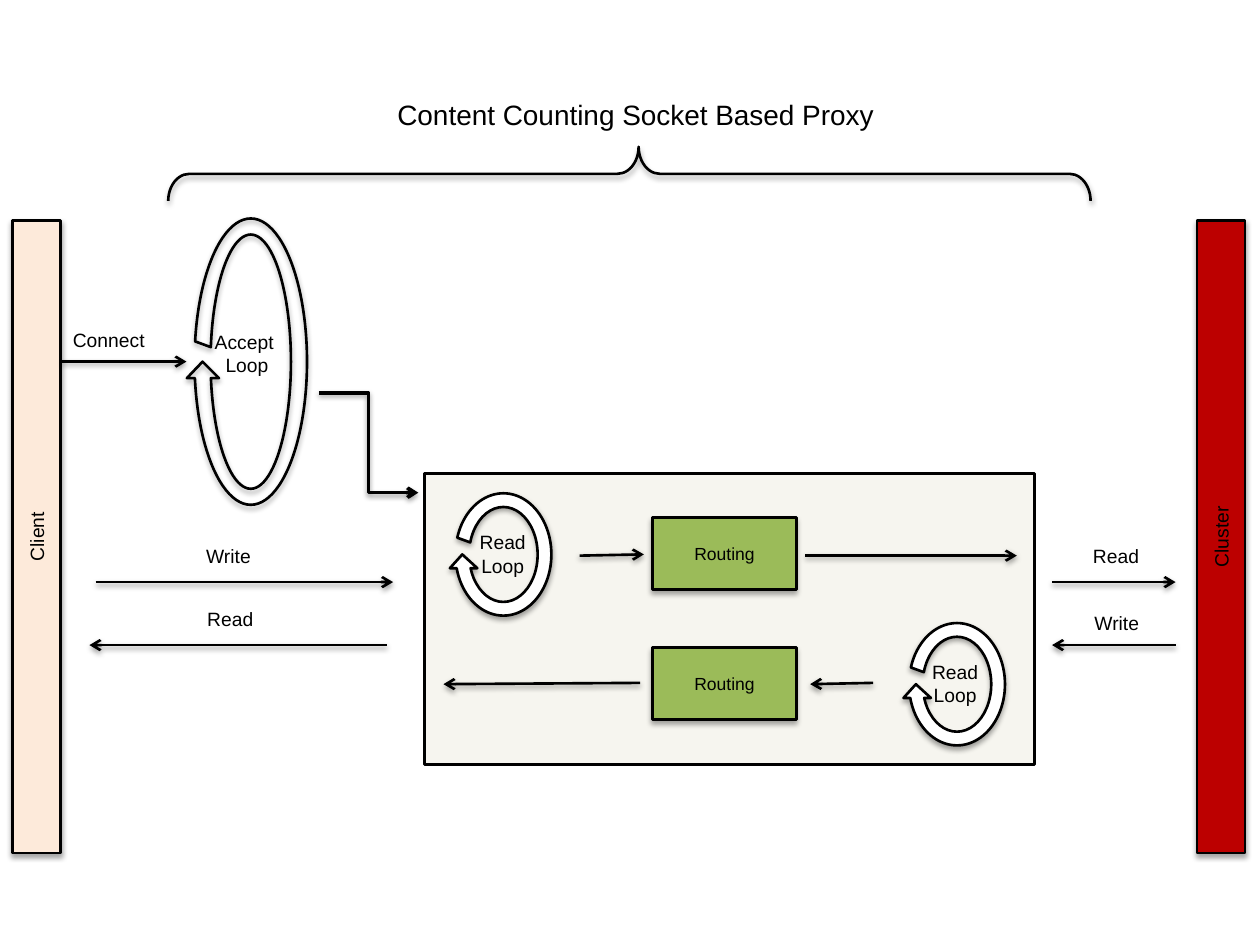
from dataclasses import dataclass
from lxml import etree
from pptx import Presentation
from pptx import util as u
from pptx.dml.color import RGBColor
from pptx.enum import shapes, text
from pptx.oxml import ns


@dataclass(frozen=True)
class Theme:
    font: str = "Arial"
    ink: str = "000000"
    client: str = "FDEADA"
    cluster: str = "BC0000"
    panel: str = "EEECE1"
    routing: str = "9BBB59"
    loop: str = "FFFFFF"
    title: int = 16
    label: int = 11
    small: int = 10
    line: float = 1.5
    elbow: float = 2


theme = Theme()
ink = RGBColor.from_string(theme.ink)
kind = shapes.MSO_SHAPE
align = text.PP_ALIGN


def write(box, words, size=theme.label, alignment=align.CENTER, anchor=text.MSO_ANCHOR.MIDDLE):
    frame = box.text_frame
    frame.text = words
    frame.word_wrap = True
    frame.auto_size = text.MSO_AUTO_SIZE.NONE
    frame.vertical_anchor = anchor
    for para in frame.paragraphs:
        para.alignment = alignment
        for span in para.runs:
            span.font.name = theme.font
            span.font.size = u.Pt(size)
            span.font.color.rgb = ink


def outline(item, width=theme.line, shadow=True, opacity=35, distance=1.8):
    item.line.color.rgb = ink
    item.line.width = u.Pt(width)
    effects = etree.SubElement(item._element.spPr, ns.qn("a:effectLst"))
    if shadow:
        outer = etree.SubElement(effects, ns.qn("a:outerShdw"), blurRad=str(u.Pt(3.1)),
                                 dist=str(u.Pt(distance)), dir="5400000", rotWithShape="0")
        tint = etree.SubElement(outer, ns.qn("a:srgbClr"), val=theme.ink)
        etree.SubElement(tint, ns.qn("a:alpha"), val=str(opacity * 1000))


deck = Presentation()
deck.slide_width, deck.slide_height = u.Inches(10), u.Inches(7.5)
cell = deck.slide_width / 100
page = deck.slides.add_slide(deck.slide_layouts[5])

title = page.shapes.title
title.left, title.top, title.width, title.height = [round(n * cell) for n in (26.6, 7.2, 47.7, 3.7)]
write(title, "Content Counting Socket Based Proxy", size=theme.title, anchor=text.MSO_ANCHOR.TOP)

loop_turns = (0.125, 11.42, 204.58, 11.99, 0.125)
brace_curve = (0.39, 0.49)
for preset, bounds, turn, fill, adjust, words, size in (
    (kind.RECTANGLE, (-22.2, 40.7, 50.2, 3.8), 270, theme.client, (), "Client", theme.label),
    (kind.RECTANGLE, (71.8, 40.7, 50.2, 3.8), 270, theme.cluster, (), "Cluster", theme.label),
    (kind.RECTANGLE, (33.7, 37.6, 48.4, 23.1), 0, theme.panel, (), "", theme.label),
    (kind.LEFT_BRACE, (47.8, -22.8, 4.3, 73.2), 90, None, brace_curve, "", theme.label),
    (kind.CIRCULAR_ARROW, (14.8, 16.7, 10.2, 24), 180, None, loop_turns, "", theme.label),
    (kind.CIRCULAR_ARROW, (35.6, 38.6, 8.7, 10.8), 180, theme.loop, loop_turns, "", theme.label),
    (kind.CIRCULAR_ARROW, (71.6, 48.9, 8.7, 10.8), 180, theme.loop, loop_turns, "", theme.label),
    (kind.RECTANGLE, (51.8, 41.1, 11.4, 5.7), 0, theme.routing, (), "Routing", theme.small),
    (kind.RECTANGLE, (51.8, 51.4, 11.4, 5.7), 0, theme.routing, (), "Routing", theme.small),
):
    shape = page.shapes.add_shape(preset, *[round(n * cell) for n in bounds])
    shape.rotation = turn
    for index, value in enumerate(adjust):
        shape.adjustments[index] = value
    if fill:
        shape.fill.solid()
        shape.fill.fore_color.rgb = RGBColor.from_string(fill)
    else:
        shape.fill.background()
    outline(shape, shadow=fill != theme.panel)
    if fill == theme.panel:
        tint = shape._element.spPr.find(ns.qn("a:solidFill"))[0]
        etree.SubElement(tint, ns.qn("a:alpha"), val="50000")
    if words:
        write(shape, words, size=size)

straight, elbow = shapes.MSO_CONNECTOR.STRAIGHT, shapes.MSO_CONNECTOR.ELBOW
for style, ends, tip, width in (
    (straight, (4.9, 28.7, 14.8, 28.7), "tailEnd", theme.line),
    (elbow, (25.3, 31.2, 33.2, 39.1), "tailEnd", theme.elbow),
    (straight, (7.6, 46.2, 31.2, 46.2), "tailEnd", theme.line),
    (straight, (7.1, 51.2, 30.7, 51.2), "headEnd", theme.line),
    (straight, (83.5, 46.2, 93.3, 46.2), "tailEnd", theme.line),
    (straight, (83.5, 51.2, 93.3, 51.2), "headEnd", theme.line),
    (straight, (46, 44.1, 51.1, 44), "tailEnd", theme.line),
    (straight, (63.9, 44.1, 80.7, 44.1), "tailEnd", theme.line),
    (straight, (35.2, 54.3, 50.8, 54.2), "headEnd", theme.line),
    (straight, (64.3, 54.3, 69.3, 54.2), "headEnd", theme.line),
):
    arrow = page.shapes.add_connector(style, *[round(n * cell) for n in ends])
    outline(arrow, width=width, opacity=38, distance=1.6)
    etree.SubElement(arrow._element.spPr.find(ns.qn("a:ln")), ns.qn("a:" + tip), type="arrow")

for words, bounds, alignment in (
    ("Connect", (4.8, 25.3, 9.3, 3.4), align.LEFT),
    ("Accept \nLoop", (14.2, 25.7, 10.8, 4.7), align.CENTER),
    ("Read\nLoop", (34.5, 42.7, 10.8, 2.5), align.CENTER),
    ("Read\nLoop", (70.4, 53, 10.8, 2.5), align.CENTER),
    ("Write", (13.3, 42.4, 7.6, 3.4), align.RIGHT),
    ("Read", (13.5, 47.4, 7.6, 3.4), align.RIGHT),
    ("Read", (83.8, 42.4, 7.6, 3.4), align.RIGHT),
    ("Write", (83.8, 47.7, 7.6, 3.4), align.RIGHT),
):
    label = page.shapes.add_textbox(*[round(n * cell) for n in bounds])
    write(label, words, alignment=alignment)

deck.save("out.pptx")
